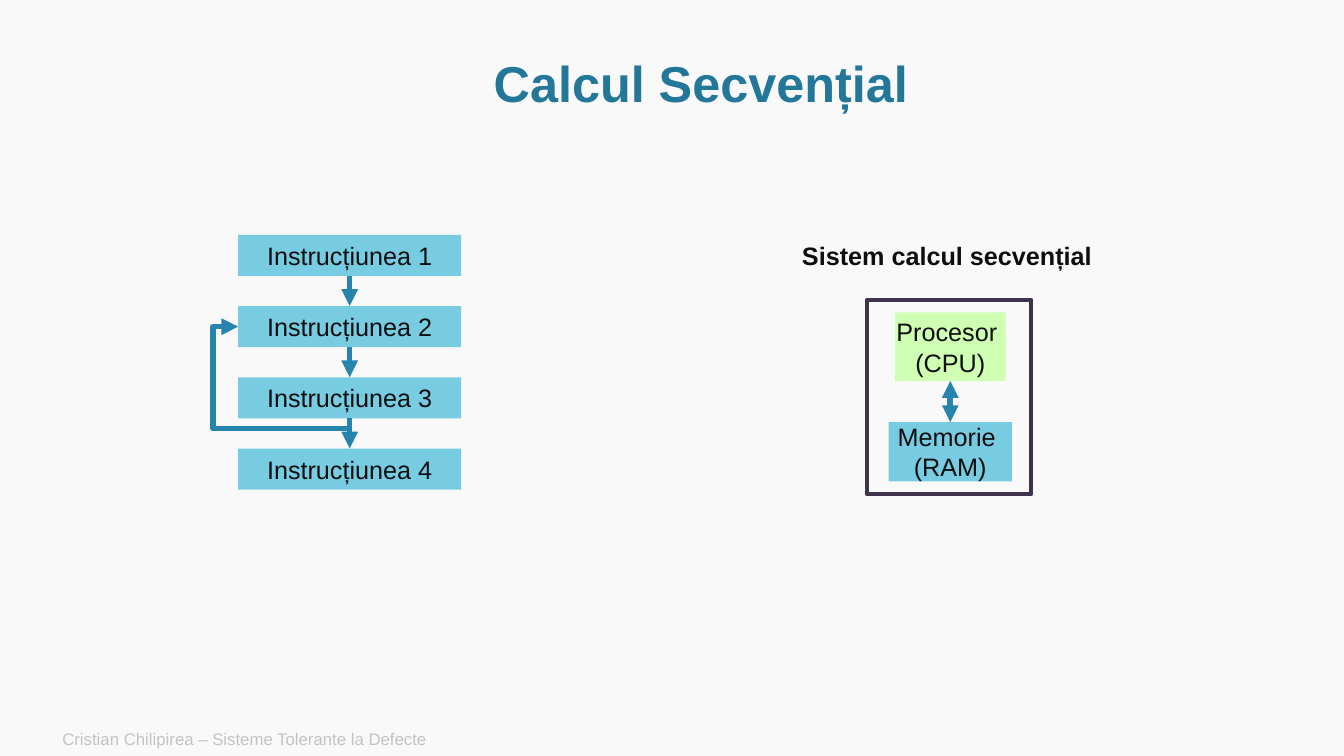
from dataclasses import dataclass

from lxml.etree import SubElement
from pptx import Presentation
from pptx.dml.color import RGBColor
from pptx.enum.shapes import MSO_CONNECTOR, MSO_SHAPE
from pptx.enum.text import MSO_ANCHOR, MSO_AUTO_SIZE, PP_ALIGN
from pptx.oxml.ns import qn
from pptx.util import Pt


@dataclass(frozen=True)
class Theme:
    font: str = "Arial"
    back: RGBColor = RGBColor(0xF9, 0xF9, 0xF9)
    title: RGBColor = RGBColor(0x23, 0x77, 0x98)
    ink: RGBColor = RGBColor(0x0E, 0x0E, 0x0E)
    pale: RGBColor = RGBColor(0xC3, 0xC3, 0xC3)
    blue: RGBColor = RGBColor(0x78, 0xCC, 0xE2)
    green: RGBColor = RGBColor(0xCF, 0xFF, 0xB3)
    arrow: RGBColor = RGBColor(0x27, 0x85, 0xAD)
    frame: RGBColor = RGBColor(0x3F, 0x33, 0x4D)
    head: int = 36
    body: int = 18
    foot: int = 12


theme = Theme()


def write(shape, lines, size, color, bold=False, align=PP_ALIGN.CENTER,
          anchor=MSO_ANCHOR.MIDDLE, wrap=False):
    frame = shape.text_frame
    frame.word_wrap = wrap
    frame.vertical_anchor = anchor
    for i, line in enumerate(lines):
        para = frame.add_paragraph() if i else frame.paragraphs[0]
        para.alignment = align
        run = para.add_run()
        run.text = line
        run.font.name = theme.font
        run.font.size = Pt(size)
        run.font.bold = bold
        run.font.color.rgb = color


def join(kind, start, site, end, goal, ends=("tailEnd",)):
    """Link two boxes by their side numbers, with arrowheads at the given ends."""
    link = slide.shapes.add_connector(kind, 0, 0, 0, 0)
    link.begin_connect(start, site)
    link.end_connect(end, goal)
    link.line.color.rgb = theme.arrow
    link.line.width = Pt(4)
    props = link._element.spPr
    for tag in ends:
        SubElement(props.find(qn("a:ln")), qn(f"a:{tag}"), type="triangle")
    SubElement(props, qn("a:effectLst"))
    return link


deck = Presentation()
deck.slide_width, deck.slide_height = Pt(960), Pt(540)
slide = deck.slides.add_slide(deck.slide_layouts[5])
slide.background.fill.solid()
slide.background.fill.fore_color.rgb = theme.back

# Title and footer
title = slide.shapes.title
title.left, title.top, title.width, title.height = Pt(82), Pt(36.7), Pt(837.4), Pt(49.7)
write(title, ["Calcul Secvențial"], theme.head, theme.title, bold=True, wrap=True)
title.text_frame.auto_size = MSO_AUTO_SIZE.NONE
title.text_frame.paragraphs[0].line_spacing = 0.9

foot = slide.shapes.add_textbox(Pt(37.4), Pt(515.5), Pt(605), Pt(24.5))
write(foot, ["Cristian Chilipirea – Sisteme Tolerante la Defecte"],
      theme.foot, theme.pale, align=PP_ALIGN.LEFT, wrap=True)

# Boxes: text lines, left, top, width, height, fill
specs = [([f"Instrucțiunea {i + 1}"], 170.2, 167.7 + 50.9 * i, 159.2, 29.4, theme.blue)
         for i in range(4)]
specs += [(["Memorie ", "(RAM)"], 634.8, 301.5, 88, 42.4, theme.blue),
          (["Procesor ", "(CPU)"], 639.3, 223.2, 79, 49, theme.green)]
boxes = []
for lines, left, top, width, height, fill in specs:
    box = slide.shapes.add_shape(MSO_SHAPE.RECTANGLE, Pt(left), Pt(top), Pt(width), Pt(height))
    box.shadow.inherit = False
    box.fill.solid()
    box.fill.fore_color.rgb = fill
    box.line.fill.background()
    write(box, lines, theme.body, theme.ink)
    boxes.append(box)
*steps, ram, cpu = boxes

# Sequence arrows and the two-way memory link
for upper, lower in zip(steps, steps[1:]):
    join(MSO_CONNECTOR.STRAIGHT, upper, 2, lower, 0)
join(MSO_CONNECTOR.STRAIGHT, cpu, 2, ram, 0, ("headEnd", "tailEnd"))

# System frame and heading
case = slide.shapes.add_shape(MSO_SHAPE.RECTANGLE, Pt(619.2), Pt(214.4), Pt(117.5), Pt(138.4))
case.shadow.inherit = False
case.fill.background()
case.line.color.rgb = theme.frame
case.line.width = Pt(3)

label = slide.shapes.add_textbox(Pt(565.8), Pt(167.9), Pt(224), Pt(29))
write(label, ["Sistem calcul secvențial"], theme.body, theme.ink, bold=True,
      align=PP_ALIGN.LEFT, anchor=MSO_ANCHOR.TOP)
label.text_frame.auto_size = MSO_AUTO_SIZE.SHAPE_TO_FIT_TEXT

# Loop back from step 3 to step 2: a four-part elbow, turned a quarter
loop = join(MSO_CONNECTOR.ELBOW, steps[2], 2, steps[1], 1)
wide, high = loop.width, loop.height
mid_x, mid_y = loop.left + wide // 2, loop.top + high // 2
loop.left, loop.top = mid_x - high // 2, mid_y - wide // 2
loop.width, loop.height = high, wide
turn = loop._element.spPr.find(qn("a:xfrm"))
turn.attrib.pop("flipV", None)
turn.set("flipH", "1")
turn.set("rot", "5400000")
shape = loop._element.spPr.find(qn("a:prstGeom"))
shape.set("prst", "bentConnector4")
for name, value in (("adj1", -11000), ("adj2", 122600)):
    SubElement(shape.find(qn("a:avLst")), qn("a:gd"), name=name, fmla=f"val {value}")

deck.save("out.pptx")
